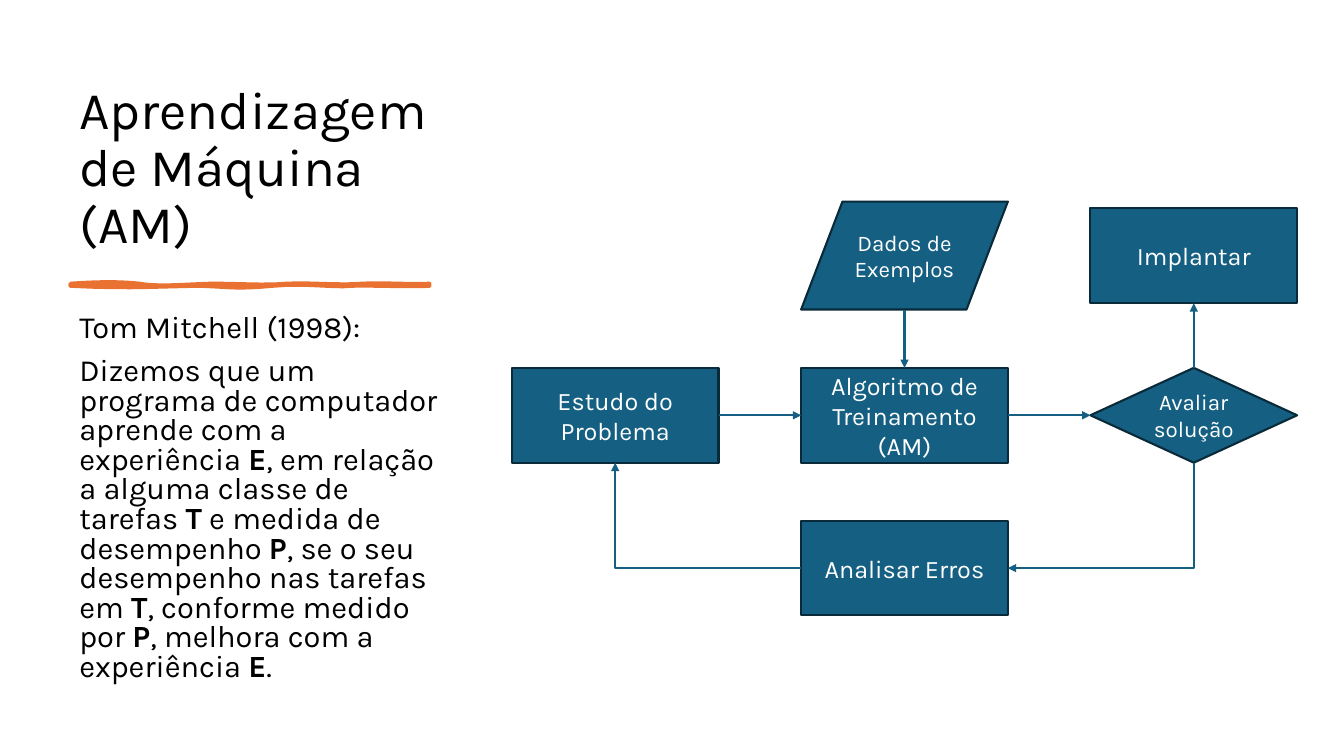
from dataclasses import dataclass
from itertools import cycle

from lxml import etree
from pptx import Presentation, util as u
from pptx.dml.color import RGBColor
from pptx.enum import shapes, text
from pptx.oxml import ns


@dataclass(frozen=True)
class Theme:
    """Colours, font and type sizes of the slide."""
    font: str = "Karla"
    ink: str = "000000"
    paper: str = "FFFFFF"
    fill: str = "156082"
    edge: str = "092A39"
    accent: str = "E97132"
    title: float = 37.8
    body: float = 22
    label: float = 18
    small: float = 16
    line: float = 1.5
    stroke: float = 3


@dataclass(frozen=True)
class Box:
    """A rectangle in centimetres."""
    left: float
    top: float
    width: float
    height: float

    def inner(self, left, top, width, height):
        """Return a box placed relative to this one."""
        return Box(self.left + left, self.top + top, width, height)

    def lengths(self):
        """Return the four lengths for python-pptx."""
        return [u.Cm(n) for n in (self.left, self.top, self.width, self.height)]

    def side(self, name):
        """Return the middle point of one side."""
        across, down = {"top": (0.5, 0), "bottom": (0.5, 1),
                        "left": (0, 0.5), "right": (1, 0.5)}[name]
        return self.left + across * self.width, self.top + down * self.height


THEME = Theme()
KIND = shapes.MSO_SHAPE
UPPER_EDGE = [
    [(0.69, -0.05), (1.3, -0.05), (1.73, 0)],
    [(2.16, 0.08), (2.72, 0.03), (3.53, 0)],
    [(4.34, 0), (4.83, 0.05), (5.44, 0)],
    [(6.05, -0.03), (6.83, 0.05), (7.34, 0)],
    [(7.85, -0.03), (8.69, 0.03), (9.04, 0)],
]
LOWER_EDGE = [
    [(9.04, 0.02), (9.04, 0.04), (9.04, 0.05)],
    [(8.59, 0.08), (7.47, 0.03), (7.06, 0.05)],
    [(6.65, 0.1), (5.94, -0.03), (5.08, 0.05)],
    [(4.19, 0.13), (4.09, 0.08), (3.28, 0.05)],
    [(2.44, 0.05), (1.57, 0.13), (0, 0.05)],
]
BODY = ("Tom Mitchell (1998):\n"
        "Dizemos que um programa de computador aprende com a experiência *E*, "
        "em relação a alguma classe de tarefas *T* e medida de desempenho *P*, "
        "se o seu desempenho nas tarefas em *T*, conforme medido por *P*, "
        "melhora com a experiência *E*.")


def write_text(frame, content, size, color, align=text.PP_ALIGN.LEFT,
               anchor=text.MSO_ANCHOR.TOP, spacing=None, before=None):
    """Write paragraphs split at newlines, with bold spans between asterisks."""
    frame.word_wrap = True
    frame.vertical_anchor = anchor
    for index, line in enumerate(content.split("\n")):
        para = frame.add_paragraph() if index else frame.paragraphs[0]
        para.alignment = align
        if spacing is not None:
            para.line_spacing = spacing
        if before is not None:
            para.space_before = u.Pt(before)
        for piece, bold in zip(line.split("*"), cycle((False, True))):
            span = para.add_run()
            span.text = piece
            span.font.name = THEME.font
            span.font.size = u.Pt(size)
            span.font.bold = bold
            span.font.color.rgb = RGBColor.from_string(color)


def paint(shape, fill, edge, width):
    """Give a shape a flat fill and outline."""
    shape.shadow.inherit = False
    shape.fill.solid()
    shape.fill.fore_color.rgb = RGBColor.from_string(fill)
    shape.line.color.rgb = RGBColor.from_string(edge)
    shape.line.width = u.Pt(width)


def curve_points(start, segments, steps=8):
    """Yield points along a chain of cubic curves."""
    for first, second, end in segments:
        for step in range(1, steps + 1):
            t = step / steps
            weights = (1 - t) ** 3, 3 * t * (1 - t) ** 2, 3 * t * t * (1 - t), t ** 3
            yield tuple(sum(w * p[axis] for w, p in zip(weights, (start, first, second, end)))
                        for axis in (0, 1))
        start = end


def draw_brush_rule(page, box):
    """Draw the hand-drawn rule from the top left of the box."""
    outline = page.shapes.build_freeform(0, 0, scale=1.0)
    points = curve_points((0, 0), UPPER_EDGE + LOWER_EDGE)
    outline.add_line_segments([(u.Cm(x), u.Cm(y)) for x, y in points], close=True)
    rule = outline.convert_to_shape(u.Cm(box.left), u.Cm(box.top))
    paint(rule, THEME.accent, THEME.accent, THEME.stroke)


def draw_definition(page, box):
    """Place the title, the rule and the definition in the left column."""
    title = page.shapes.add_textbox(*box.inner(0, 0, box.width, 4.78).lengths())
    write_text(title.text_frame, "Aprendizagem de Máquina (AM)", THEME.title, THEME.ink,
               anchor=text.MSO_ANCHOR.BOTTOM, spacing=0.9)
    draw_brush_rule(page, box.inner(0.03, 5.37, 9.04, 0.05))
    body = page.shapes.add_textbox(*box.inner(0, 6.02, box.width, 9.47).lengths())
    write_text(body.text_frame, BODY, THEME.body, THEME.ink, spacing=0.8, before=10)


def draw_arrow(page, start, end, bend=None):
    """Draw an arrow, straight or with one bend after an 'across' or 'down' leg."""
    style = shapes.MSO_CONNECTOR.ELBOW if bend else shapes.MSO_CONNECTOR.STRAIGHT
    first, last = start, end
    if bend == "down":
        middle = [(a + b) / 2 for a, b in zip(start, end)]
        half = abs(end[1] - start[1]) / 2, abs(end[0] - start[0]) / 2
        first = [m - h for m, h in zip(middle, half)]
        last = [m + h for m, h in zip(middle, half)]
    arrow = page.shapes.add_connector(style, *[u.Cm(n) for n in (*first, *last)])
    arrow.line.color.rgb = RGBColor.from_string(THEME.fill)
    arrow.line.width = u.Pt(THEME.line)
    properties = arrow._element.spPr
    if bend:
        properties.find(ns.qn("a:prstGeom")).set("prst", "bentConnector2")
    if bend == "down":
        properties.find(ns.qn("a:xfrm")).set("rot", "5400000")
    etree.SubElement(properties.find(ns.qn("a:ln")), ns.qn("a:tailEnd"), type="triangle")
    etree.SubElement(properties, ns.qn("a:effectLst"))


def draw_flowchart(page, box):
    """Draw the steps of the learning process and the arrows between them."""
    width, height, pitch = 5.21, 2.39, 7.29
    steps = {
        "study": (0, 4.19, height, KIND.RECTANGLE, "Estudo do Problema", THEME.label),
        "train": (1, 4.19, height, KIND.RECTANGLE, "Algoritmo de Treinamento (AM)", THEME.label),
        "data": (1, 0, 2.72, KIND.FLOWCHART_DATA, "Dados de Exemplos", THEME.small),
        "assess": (2, 4.19, height, KIND.DIAMOND, "Avaliar\nsolução", THEME.small),
        "deploy": (2, 0.17, height, KIND.RECTANGLE, "Implantar", THEME.label),
        "errors": (1, 8.04, height, KIND.RECTANGLE, "Analisar Erros", THEME.label),
    }
    places = {}
    for name, (column, top, tall, kind, label, size) in steps.items():
        places[name] = box.inner(column * pitch, top, width, tall)
        shape = page.shapes.add_shape(kind, *places[name].lengths())
        paint(shape, THEME.fill, THEME.edge, THEME.line)
        write_text(shape.text_frame, label, size, THEME.paper,
                   align=text.PP_ALIGN.CENTER, anchor=text.MSO_ANCHOR.MIDDLE)
    for source, leave, target, enter, bend in (
        ("study", "right", "train", "left", None),
        ("data", "bottom", "train", "top", None),
        ("train", "right", "assess", "left", None),
        ("assess", "bottom", "errors", "right", "down"),
        ("errors", "left", "study", "bottom", "across"),
        ("assess", "top", "deploy", "bottom", None),
    ):
        draw_arrow(page, places[source].side(leave), places[target].side(enter), bend)


def main():
    """Build the deck and save it."""
    deck = Presentation()
    deck.slide_width, deck.slide_height = u.Cm(33.87), u.Cm(19.05)
    page = deck.slides.add_slide(deck.slide_layouts[6])
    draw_definition(page, Box(1.75, 1.78, 9.53, 15.49))
    draw_flowchart(page, Box(12.9, 5.08, 19.79, 10.43))
    deck.save("out.pptx")


if __name__ == "__main__":
    main()
